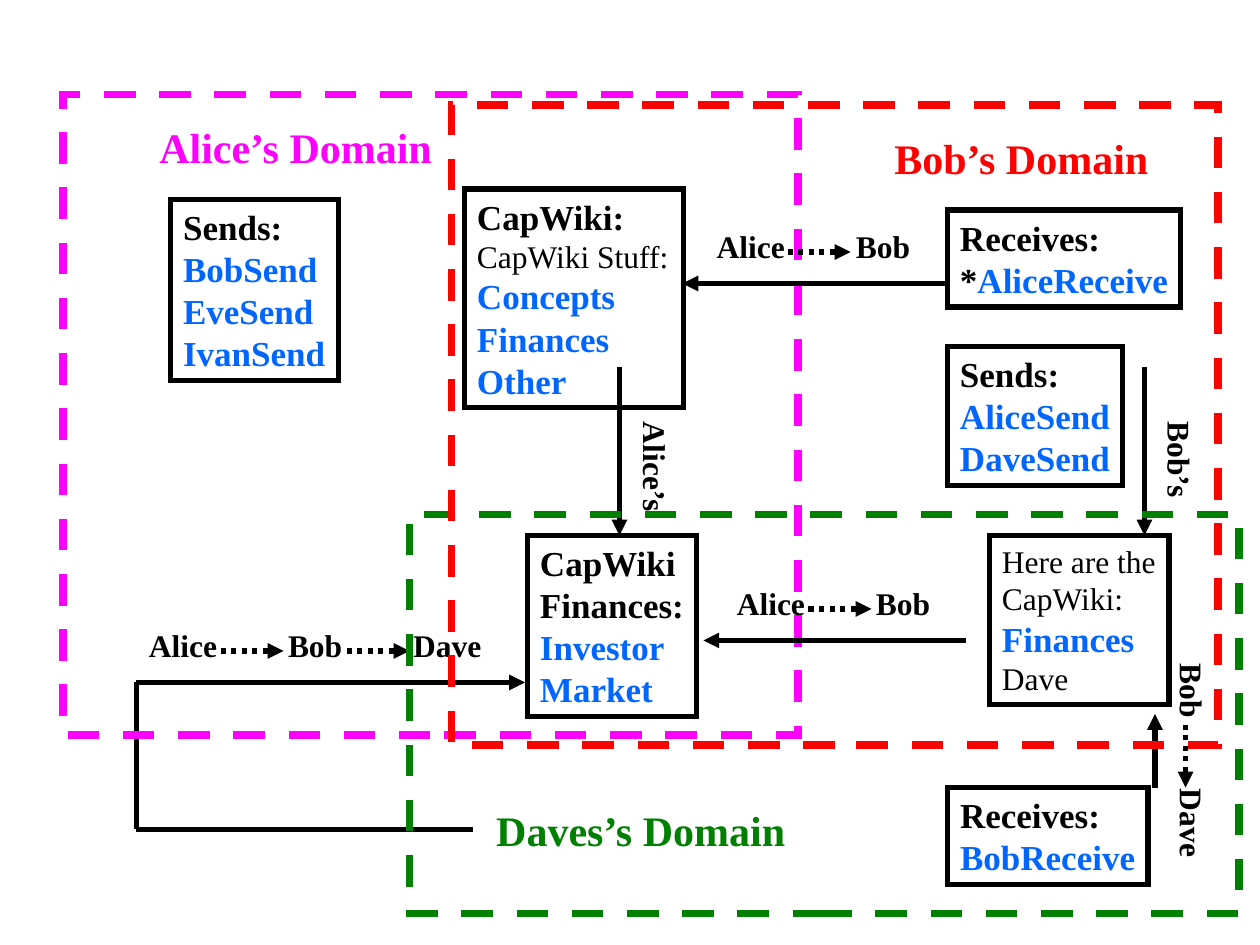
"""Build a slide of three overlapping domains that pass capabilities."""
import pptx
import pptx.dml.color
import pptx.enum.dml
import pptx.enum.shapes
import pptx.enum.text
import pptx.oxml
import pptx.oxml.ns
import pptx.util

Pt = pptx.util.Pt
RGBColor = pptx.dml.color.RGBColor
Dash = pptx.enum.dml.MSO_LINE
BLACK = RGBColor(0x00, 0x00, 0x00)
BLUE = RGBColor(0x00, 0x66, 0xFF)
PINK = RGBColor(0xFF, 0x00, 0xFF)
RED = RGBColor(0xFF, 0x00, 0x00)
GREEN = RGBColor(0x00, 0x80, 0x00)

FACE = "Times New Roman"
HEAD = ({"name": FACE, "size": Pt(20), "bold": True}, BLACK)
LINK = (HEAD[0], BLUE)
BODY = ({"name": FACE, "size": Pt(18), "bold": False}, BLACK)
TAG = ({"name": FACE, "size": Pt(18), "bold": True}, BLACK)
BIG = {"name": FACE, "size": Pt(24), "bold": True}

NOTES = [
    ((265.5, 108, 125, 125), [
        [("CapWiki:", HEAD)], [("CapWiki Stuff:", BODY)], [("Concepts", LINK)],
        [("Finances", LINK)], [("Other", LINK)]]),
    ((541.5, 120, 133, 55.5), [
        [("Receives:", HEAD)], [("*", HEAD), ("AliceReceive", LINK)]]),
    ((541.5, 198, 100, 79.5), [
        [("Sends:", HEAD)], [("AliceSend", LINK)], [("DaveSend", LINK)]]),
    ((301.5, 306, 96.5, 103.5), [
        [("CapWiki", HEAD)], [("Finances:", HEAD)], [("Investor", LINK)],
        [("Market", LINK)]]),
    ((565.5, 306, 102.5, 96.5), [
        [("Here are the", BODY)], [("CapWiki:", BODY)], [("Finances", LINK)],
        [("Dave", BODY)]]),
    ((541.5, 450, 114.5, 55.5), [[("Receives:", HEAD)], [("BobReceive", LINK)]]),
    ((97.5, 114, 96, 103.5), [
        [("Sends:", HEAD)], [("BobSend", LINK)], [("EveSend", LINK)],
        [("IvanSend", LINK)]]),
]
ZONES = [
    ((234, 294, 474, 228), GREEN),
    ((36, 54, 420, 366), PINK),
    ((258, 60, 438, 366), RED),
]
TITLES = [
    ("Alice’s Domain", (84, 66, 170.5, 36), PINK),
    ("Bob’s Domain", (504, 72, 160.5, 36), RED),
    ("Daves’s Domain", (276.5, 456, 180, 36), GREEN),
]
LOW = {
    "arrows": [
        (354, 210, 354, 306),
        (654, 210, 654, 306),
        (660, 450, 660, 408),
        (78, 390, 300, 390),
    ],
    "dots": [
        (677.5, 414, 677.5, 450),
        (126, 372, 162, 372),
        (198, 372, 234, 372),
    ],
    "tags": [
        ("Alice’s", (341.5, 252.5, 66, 29), 90, []),
        ("Bob’s", (645, 248.5, 58.5, 29), 90, []),
        ("Bob\tDave", (619, 420, 124.5, 29), 90, [71.5]),
        ("Alice\tBob\tDave", (78, 354, 210, 29), 0, [79.5, 151]),
    ],
}
HIGH = {
    "arrows": [(552, 366, 402, 366), (540, 162, 390, 162)],
    "dots": [(462, 348, 498, 348), (450, 144, 486, 144)],
    "tags": [
        ("Alice\tBob", (414, 330, 124.5, 29), 0, [79.5]),
        ("Alice\tBob", (402.5, 126, 124.5, 29), 0, [79.5]),
    ],
}
STEMS = [(78, 474, 78, 390), (78, 474, 270, 474)]


def make_node(name, attrs=""):
    """Return an empty drawing element."""
    return pptx.oxml.parse_xml(
        f'<a:{name} {pptx.oxml.ns.nsdecls("a")} {attrs}/>')


def fill_text(shape, paras, stops=()):
    """Write paragraphs of styled runs, with optional tab stops."""
    frame = shape.text_frame
    look = {
        "word_wrap": True,
        "margin_right": 0,
        "auto_size": pptx.enum.text.MSO_AUTO_SIZE.SHAPE_TO_FIT_TEXT,
        "vertical_anchor": pptx.enum.text.MSO_ANCHOR.TOP,
    }
    for key, val in look.items():
        setattr(frame, key, val)
    for num, runs in enumerate(paras):
        para = frame.add_paragraph() if num else frame.paragraphs[0]
        para.alignment = pptx.enum.text.PP_ALIGN.LEFT
        if stops:
            add_stops(para, stops)
        for text, (form, tint) in runs:
            run = para.add_run()
            run.text = text
            for key, val in form.items():
                setattr(run.font, key, val)
            run.font.color.rgb = tint


def add_stops(para, stops):
    """Add left tab stops to a paragraph."""
    tabs = make_node("tabLst")
    for stop in stops:
        tabs.append(make_node("tab", f'pos="{Pt(stop)}" algn="l"'))
    para._p.get_or_add_pPr().append(tabs)


def set_line(line, tint, width, dash):
    """Set colour, width and dash of a line."""
    line.color.rgb = tint
    for key, val in {"width": Pt(width), "dash_style": dash}.items():
        setattr(line, key, val)


def add_frame(slide, area, tint, width, dash=None):
    """Draw an unfilled rectangle with a sharp coloured outline."""
    kind = pptx.enum.shapes.MSO_SHAPE.RECTANGLE
    shape = slide.shapes.add_shape(kind, *map(Pt, area))
    shape.shadow.inherit = False
    shape.fill.background()
    set_line(shape.line, tint, width, dash)
    shape.line._get_or_add_ln().append(make_node("miter", 'lim="800000"'))
    return shape


def add_label(slide, text, area, style, turn=0, stops=()):
    """Place one line of text, turned if needed."""
    box = slide.shapes.add_textbox(*map(Pt, area))
    box.rotation = turn
    fill_text(box, [[(text, style)]], stops)


def add_line(slide, ends, dash=None, tip=True):
    """Draw a black line, with an arrowhead at its end if asked."""
    kind = pptx.enum.shapes.MSO_CONNECTOR.STRAIGHT
    line = slide.shapes.add_connector(kind, *map(Pt, ends))
    set_line(line.line, BLACK, 3, dash)
    if tip:
        line.line._get_or_add_ln().append(
            make_node("tailEnd", 'type="triangle"'))
    line._element.spPr.append(make_node("effectLst"))


def add_layer(slide, layer):
    """Draw the arrows, dotted arrows and tags of one layer."""
    for ends in layer["arrows"]:
        add_line(slide, ends)
    for text, area, turn, stops in layer["tags"]:
        add_label(slide, text, area, TAG, turn, stops)
    for ends in layer["dots"]:
        add_line(slide, ends, Dash.ROUND_DOT)


def main():
    """Build and save the slide."""
    deck = pptx.Presentation()
    deck.slide_width, deck.slide_height = Pt(720), Pt(540)
    slide = deck.slides.add_slide(deck.slide_layouts[6])
    for area, paras in NOTES:
        fill_text(add_frame(slide, area, BLACK, 3), paras)
    add_layer(slide, LOW)
    for ends in STEMS:
        add_line(slide, ends, tip=False)
    for area, tint in ZONES:
        add_frame(slide, area, tint, 4.5, Dash.DASH)
    for text, area, tint in TITLES:
        add_label(slide, text, area, (BIG, tint))
    add_layer(slide, HIGH)
    deck.save("out.pptx")


if __name__ == "__main__":
    main()
